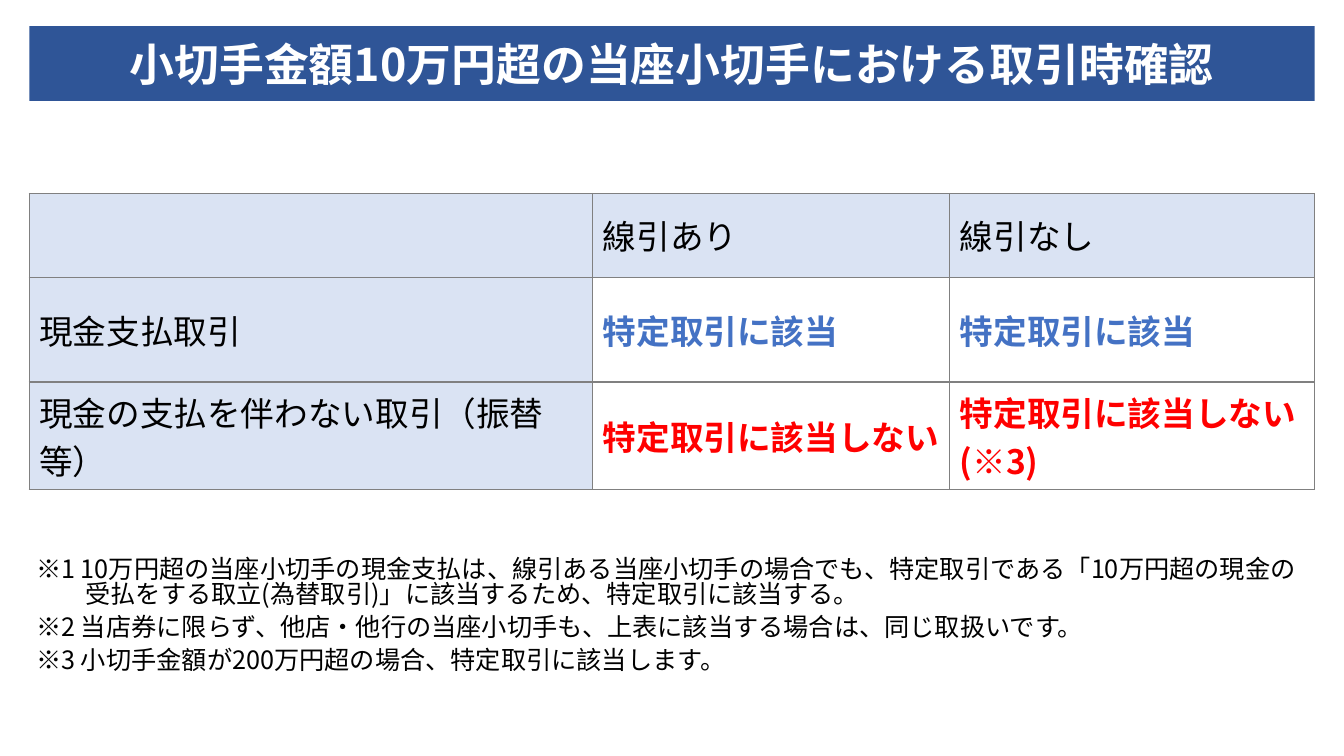
import pptx
import pptx.dml.color
import pptx.enum.text
import pptx.oxml
import pptx.oxml.ns
import pptx.util
from lxml import etree

WIDTH, HEIGHT = 13.33, 7.5
MARGIN = 0.29
CONTENT_WIDTH = WIDTH - 2 * MARGIN
FONT = "Noto Sans CJK JP"
NAVY, PALE, WHITE, BLACK = "2F5597", "DAE3F3", "FFFFFF", "000000"
BLUE, RED, GREY = "4472C4", "FF0000", "808080"
COLUMN_WIDTHS = (5.59, 3.54, 3.62)
ROW_HEIGHTS = (0.83, 1.04, 1.04)
ROWS = (
    ("", "線引あり", "線引なし"),
    ("現金支払取引", "特定取引に該当", "特定取引に該当"),
    ("現金の支払を伴わない取引（振替等）", "特定取引に該当しない", "特定取引に該当しない(※3)"),
)
ANSWER_COLORS = {1: BLUE, 2: RED}
NOTES = (
    "※1 10万円超の当座小切手の現金支払は、線引ある当座小切手の場合でも、特定取引である「10万円超の現金の受払をする取立(為替取引)」に該当するため、特定取引に該当する。",
    "※2 当店券に限らず、他店・他行の当座小切手も、上表に該当する場合は、同じ取扱いです。",
    "※3 小切手金額が200万円超の場合、特定取引に該当します。",
)


def color(value):
    return pptx.dml.color.RGBColor.from_string(value)


def fill(target, value):
    target.fill.solid()
    target.fill.fore_color.rgb = color(value)


def write(paragraph, text, size=24, text_color=BLACK, bold=False):
    run = paragraph.add_run()
    run.text = text
    run.font.size = pptx.util.Pt(size)
    run.font.bold = bold
    run.font.color.rgb = color(text_color)
    run.font.name = FONT
    properties = run.font._element
    east_asian = etree.SubElement(properties, pptx.oxml.ns.qn("a:ea"))
    east_asian.set("typeface", FONT)


def border(cell):
    properties = cell._tc.get_or_add_tcPr()
    for index, side in enumerate(("lnL", "lnR", "lnT", "lnB")):
        line = pptx.oxml.parse_xml(
            f'<a:{side} {pptx.oxml.ns.nsdecls("a")} w="12700"><a:solidFill>'
            f'<a:srgbClr val="{GREY}"/></a:solidFill></a:{side}>')
        properties.insert(index, line)


def add_title(slide, text):
    title = slide.shapes.title
    title.left, title.top = pptx.util.Inches(MARGIN), pptx.util.Inches(0.26)
    title.width, title.height = pptx.util.Inches(CONTENT_WIDTH), pptx.util.Inches(0.74)
    fill(title, NAVY)
    frame = title.text_frame
    frame.auto_size = pptx.enum.text.MSO_AUTO_SIZE.NONE
    frame.vertical_anchor = pptx.enum.text.MSO_ANCHOR.MIDDLE
    paragraph = frame.paragraphs[0]
    paragraph.alignment = pptx.enum.text.PP_ALIGN.CENTER
    write(paragraph, text, size=32, text_color=WHITE, bold=True)


def add_comparison(slide):
    table = slide.shapes.add_table(
        len(ROWS), len(COLUMN_WIDTHS), pptx.util.Inches(MARGIN), pptx.util.Inches(1.92),
        pptx.util.Inches(CONTENT_WIDTH), pptx.util.Inches(sum(ROW_HEIGHTS))).table
    for column, width in zip(table.columns, COLUMN_WIDTHS):
        column.width = pptx.util.Inches(width)
    for row, height in zip(table.rows, ROW_HEIGHTS):
        row.height = pptx.util.Inches(height)
    for row_index, texts in enumerate(ROWS):
        for column_index, text in enumerate(texts):
            cell = table.cell(row_index, column_index)
            is_answer = row_index > 0 and column_index > 0
            fill(cell, WHITE if is_answer else PALE)
            border(cell)
            cell.vertical_anchor = pptx.enum.text.MSO_ANCHOR.MIDDLE
            if text:
                text_color = ANSWER_COLORS[row_index] if is_answer else BLACK
                write(cell.text_frame.paragraphs[0], text,
                      text_color=text_color, bold=is_answer)


def add_notes(slide):
    box = slide.shapes.add_textbox(
        pptx.util.Inches(0.26), pptx.util.Inches(5.49),
        pptx.util.Inches(CONTENT_WIDTH), pptx.util.Inches(1.48))
    frame = box.text_frame
    frame.word_wrap = True
    for index, text in enumerate(NOTES):
        paragraph = frame.add_paragraph() if index else frame.paragraphs[0]
        paragraph.line_spacing = 0.82
        paragraph.space_after = pptx.util.Pt(6)
        # Hanging indent for continuation lines
        indent = pptx.util.Inches(0.49)
        properties = paragraph._p.get_or_add_pPr()
        properties.set("marL", str(indent))
        properties.set("indent", str(-indent))
        write(paragraph, text, size=18)


def main():
    presentation = pptx.Presentation()
    presentation.slide_width = pptx.util.Inches(WIDTH)
    presentation.slide_height = pptx.util.Inches(HEIGHT)
    slide = presentation.slides.add_slide(presentation.slide_layouts[5])

    # Heading bar, comparison table and footnotes
    add_title(slide, "小切手金額10万円超の当座小切手における取引時確認")
    add_comparison(slide)
    add_notes(slide)
    presentation.save("out.pptx")


if __name__ == "__main__":
    main()
